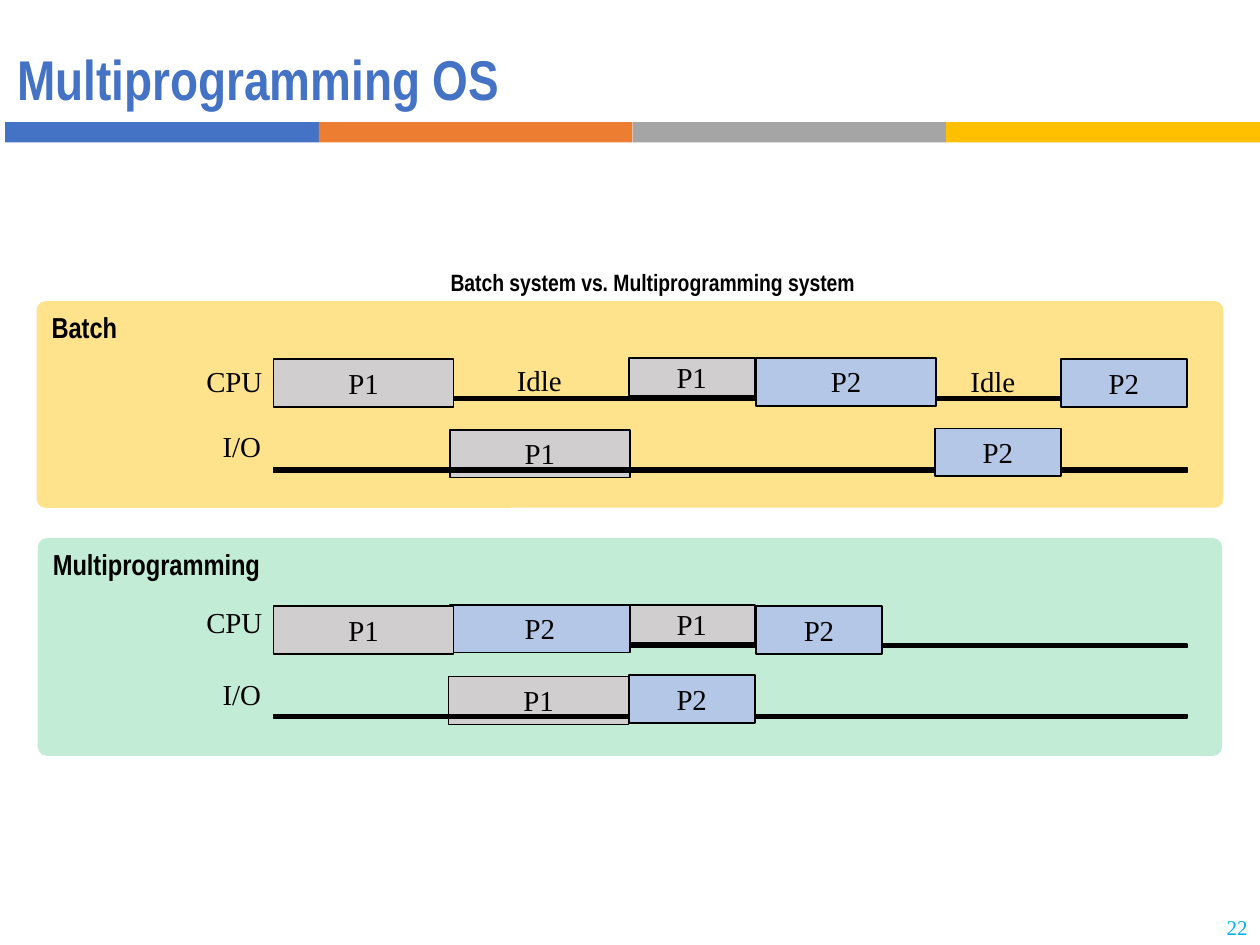
"""Build a slide comparing batch and multiprogramming schedules."""
import dataclasses

import pptx
import pptx.dml.color
import pptx.enum.shapes
import pptx.enum.text
import pptx.oxml.ns
import pptx.util
from lxml import etree

Inches = pptx.util.Inches
Kind = pptx.enum.shapes.MSO_SHAPE
Align = pptx.enum.text.PP_ALIGN
Anchor = pptx.enum.text.MSO_ANCHOR
SERIF = {"name": "Times New Roman", "size": pptx.util.Pt(16.5), "bold": False}
HEAD = {"name": "Arial Narrow", "size": pptx.util.Pt(16.5), "bold": True}
TITLE = {**HEAD, "size": pptx.util.Pt(32)}
NOTE = {**HEAD, "size": pptx.util.Pt(13.5)}
SMALL = {**SERIF, "size": pptx.util.Pt(12)}
BLACK, GREY, BLUE = "000000", "D0CECE", "B4C7E7"
LONG, SHORT, TALL, LOW = 1.43, 1, 0.38, 0.3
START, SPAN = 2.17, 7.25


@dataclasses.dataclass
class Panel:
    x: float
    y: float
    w: float
    h: float
    text: str
    fill: str
    alpha: int


@dataclasses.dataclass
class Job:
    x: float
    y: float
    w: float
    name: str
    h: float = TALL


@dataclasses.dataclass
class Axis:
    y: float
    h: float = 0.03


@dataclasses.dataclass
class Label:
    x: float
    y: float
    w: float
    h: float
    text: str
    align: Align = Align.CENTER
    font: dict = dataclasses.field(default_factory=lambda: SERIF)
    color: str = BLACK
    anchor: Anchor = Anchor.TOP
    gap: float = 1.0


PANELS = [
    Panel(0.3, 4.27, 9.4, 1.73, "Multiprogramming", "00B050", 24),
    Panel(0.29, 2.39, 9.42, 1.64, "Batch", "FFC000", 45),
]
ITEMS = [
    Label(0.04, 0.17, 9.79, 0.97, "Multiprogramming OS", Align.LEFT, TITLE,
          "4472C4", Anchor.MIDDLE, 0.9),
    Label(9.43, 7.21, 0.57, 0.29, "22", Align.RIGHT, SMALL, "00B0F0", Anchor.MIDDLE),
    Job(4.99, 2.84, SHORT, "P1", LOW),
    Job(3.57, 3.41, LONG, "P1"),
    Axis(3.15),
    Job(6, 2.84, LONG, "P2"),
    Axis(3.71, 0.04),
    Job(7.42, 3.4, SHORT, "P2"),
    Job(8.42, 2.85, SHORT, "P2"),
    Label(3.78, 2.83, 1, TALL, "Idle"),
    Label(7.38, 2.84, 1, TALL, "Idle"),
    Job(4.99, 4.8, SHORT, "P1", LOW),
    Job(3.56, 5.37, LONG, "P1"),
    Axis(5.11),
    Job(3.57, 4.8, LONG, "P2"),
    Axis(5.67),
    Job(4.99, 5.36, SHORT, "P2"),
    Job(6, 4.81, SHORT, "P2"),
    Job(START, 2.85, LONG, "P1"),
    Job(START, 4.81, LONG, "P1"),
    Label(2.81, 2.08, 4.74, 0.41, "Batch system vs. Multiprogramming system", font=NOTE),
    *[Label(1.61, y, 0.56, 0.66, "I/O", Align.RIGHT) for y in (3.35, 5.32)],
    *[Label(1.42, y, 0.76, TALL, "CPU", Align.RIGHT) for y in (2.84, 4.75)],
]


def tint(target, color: str) -> None:
    """Set a colour from a hex string."""
    target.rgb = pptx.dml.color.RGBColor.from_string(color)


def write(shape, text: str, font: dict, align: Align, anchor: Anchor = Anchor.TOP,
          color: str = BLACK, gap: float = 1.0) -> None:
    """Fill a shape with one formatted line of text."""
    frame = shape.text_frame
    frame.word_wrap = True
    frame.vertical_anchor = anchor
    para = frame.paragraphs[0]
    para.alignment = align
    para.line_spacing = gap
    run = para.add_run()
    run.text = text
    for key, value in font.items():
        setattr(run.font, key, value)
    tint(run.font.color, color)


def block(slide, x: float, y: float, w: float, h: float, fill: str,
          edge: bool = False, kind: Kind = Kind.RECTANGLE):
    """Add a filled shape, with a black edge on request."""
    shape = slide.shapes.add_shape(kind, Inches(x), Inches(y), Inches(w), Inches(h))
    shape.shadow.inherit = False
    shape.fill.solid()
    tint(shape.fill.fore_color, fill)
    if edge:
        tint(shape.line.color, BLACK)
        shape.line.width = pptx.util.Pt(1)
    else:
        shape.line.fill.background()
    return shape


def panel(slide, item: Panel) -> None:
    """Draw a translucent rounded panel with its heading."""
    shape = block(slide, item.x, item.y, item.w, item.h, item.fill,
                  kind=Kind.ROUNDED_RECTANGLE)
    shape.adjustments[0] = 0.043
    qn = pptx.oxml.ns.qn
    paint = shape.element.spPr.find(qn("a:solidFill")).find(qn("a:srgbClr"))
    etree.SubElement(paint, qn("a:alpha")).set("val", str(item.alpha * 1000))
    write(shape, item.text, HEAD, Align.LEFT)


def job(slide, item: Job) -> None:
    """Draw a time slot coloured by its process."""
    fill = GREY if item.name == "P1" else BLUE
    shape = block(slide, item.x, item.y, item.w, item.h, fill, edge=True)
    anchor = Anchor.MIDDLE if item.h == LOW else Anchor.TOP
    write(shape, item.name, SERIF, Align.CENTER, anchor)


def axis(slide, item: Axis) -> None:
    """Draw a time axis as a thin bar."""
    block(slide, START, item.y, SPAN, item.h, BLACK, edge=True)


def label(slide, item: Label) -> None:
    """Draw a plain text label."""
    shape = slide.shapes.add_textbox(
        Inches(item.x), Inches(item.y), Inches(item.w), Inches(item.h))
    write(shape, item.text, item.font, item.align, item.anchor, item.color, item.gap)


def main() -> None:
    """Build and save the slide."""
    deck = pptx.Presentation()
    deck.slide_width, deck.slide_height = Inches(10), Inches(7.5)
    slide = deck.slides.add_slide(deck.slide_layouts[6])
    for i, color in enumerate(("4472C4", "ED7D31", "A5A5A5", "FFC000")):
        block(slide, 0.04 + 2.49 * i, 0.97, 2.49, 0.16, color)
    draw = {Panel: panel, Job: job, Axis: axis, Label: label}
    for item in PANELS + ITEMS:
        draw[type(item)](slide, item)
    deck.save("out.pptx")


if __name__ == "__main__":
    main()
